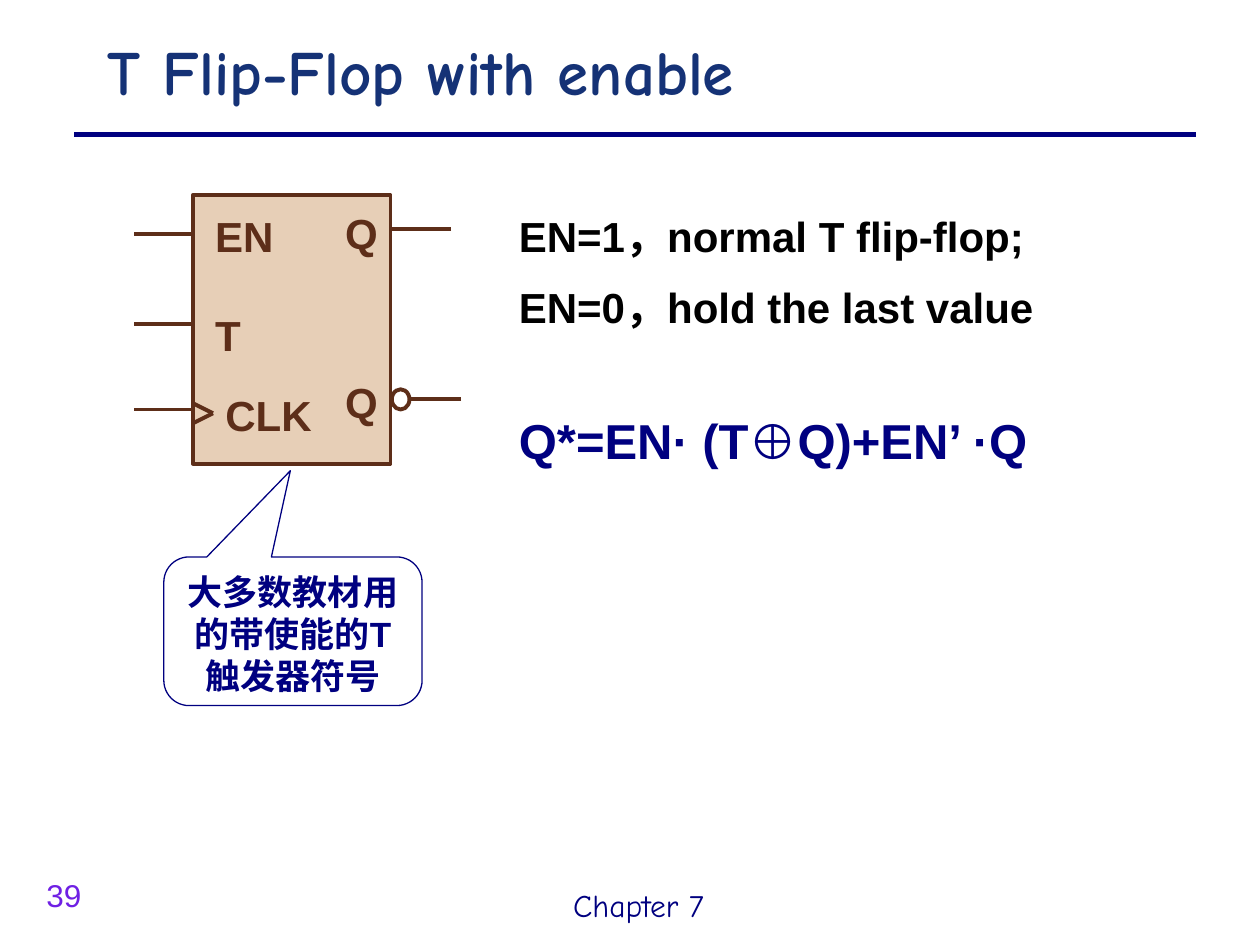
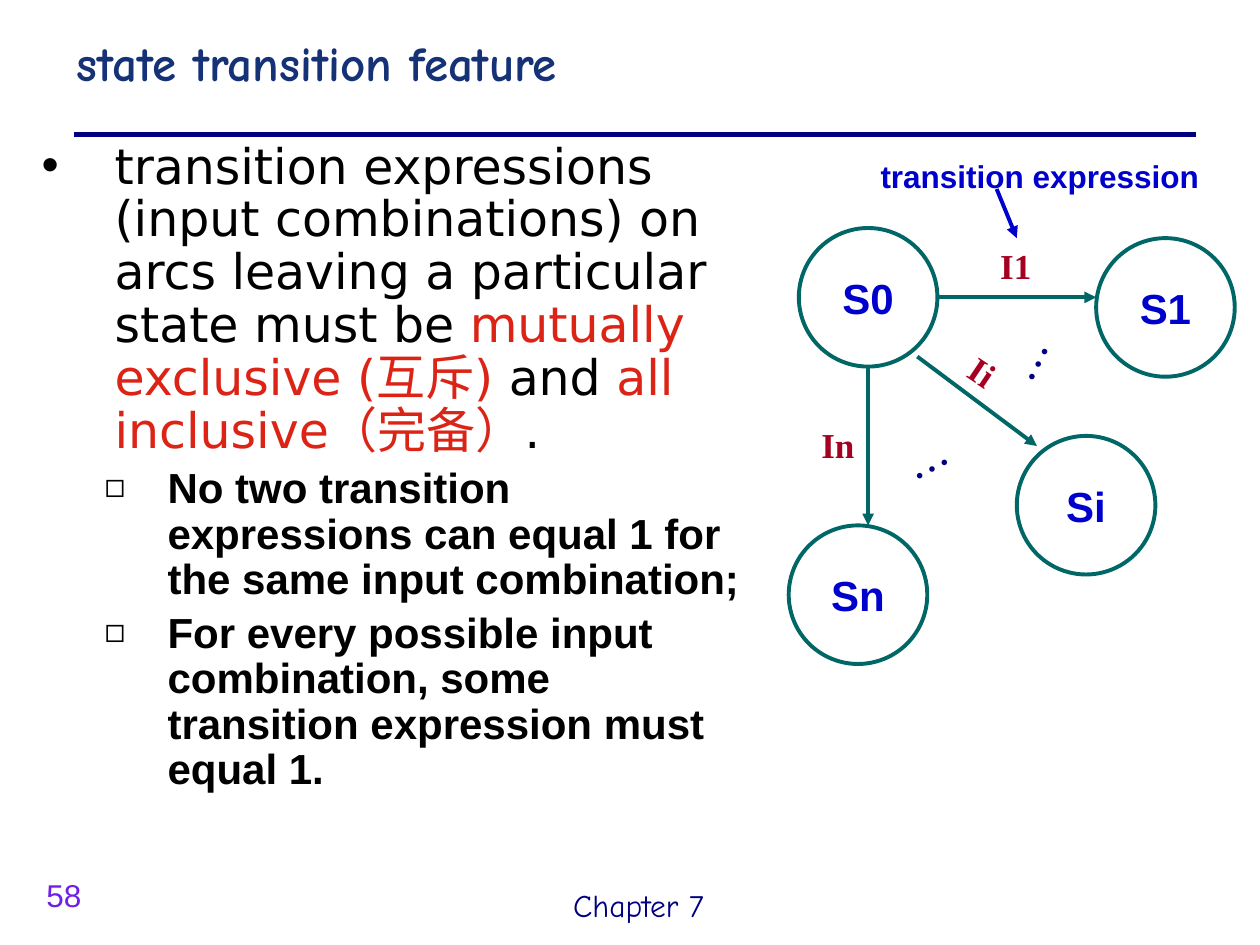
from dataclasses import dataclass

from lxml import etree
from pptx import Presentation, util as u
from pptx.dml.color import RGBColor
from pptx.enum import shapes, text
from pptx.oxml import ns


@dataclass(frozen=True)
class Theme:
    """Colours, fonts, type sizes and spacing shared by the slides."""
    navy: str = "000080"
    title: str = "153276"
    number: str = "6F20E4"
    black: str = "000000"
    white: str = "FFFFFF"
    brown: str = "5D2E19"
    tan: str = "E7CFB7"
    blue: str = "0000CC"
    teal: str = "006666"
    wine: str = "A50021"
    red: str = "DC2416"
    sans: str = "Arial"
    hand: str = "Comic Neue"
    plain: str = "DejaVu Sans"
    serif: str = "Times New Roman"
    asian: str = "Noto Sans CJK SC"
    huge: int = 36
    large: int = 28
    mid: int = 24
    note: int = 20
    small: int = 18
    pitch: float = 1.2
    tight: float = 1.08
    line: float = 2.25


T = Theme()
COLS, ROWS = 10, 7.5
WIDE, HIGH = u.Inches(10), u.Inches(7.5)
CENTER = text.PP_ALIGN.CENTER
LEFT = text.PP_ALIGN.LEFT
MIDDLE = text.MSO_ANCHOR.MIDDLE
TOP = text.MSO_ANCHOR.TOP
KIND = shapes.MSO_SHAPE


def grid(x, y):
    """Turn columns and rows into slide lengths."""
    return round(x * WIDE / COLS), round(y * HIGH / ROWS)


def place(item, x, y, w, h):
    """Move an item to a grid cell."""
    item.left, item.top = grid(x, y)
    item.width, item.height = grid(w, h)


def say(para, words, size=T.mid, font=T.sans, color=T.black, bold=True,
        align=LEFT, pitch=T.pitch, gap=0):
    """Add a formatted run to a paragraph."""
    para.alignment = align
    para.line_spacing = u.Pt(round(size * pitch, 1))
    para.space_before = u.Pt(gap)
    run = para.add_run()
    run.text = words
    run.font.size, run.font.bold, run.font.name = u.Pt(size), bold, font
    run.font.color.rgb = RGBColor.from_string(color)
    etree.SubElement(run.font._element, ns.qn("a:ea"), typeface=T.asian)


def frame(item, anchor=TOP, wrap=True):
    """Set up the text frame of an item and return its first paragraph."""
    box = item.text_frame
    box.auto_size = text.MSO_AUTO_SIZE.NONE
    box.word_wrap, box.vertical_anchor = wrap, anchor
    return box.paragraphs[0]


def label(slide, words, at, turn=0, **look):
    """Add a text box."""
    box = slide.shapes.add_textbox(*grid(*at[:2]), *grid(*at[2:]))
    box.rotation = turn
    say(frame(box), words, **look)
    return box


def shape(slide, kind, at, fill=None, line=None, width=T.line):
    """Add a preset shape."""
    item = slide.shapes.add_shape(kind, *grid(*at[:2]), *grid(*at[2:]))
    item.shadow.inherit = False
    if fill:
        item.fill.solid()
        item.fill.fore_color.rgb = RGBColor.from_string(fill)
    else:
        item.fill.background()
    if line:
        item.line.color.rgb = RGBColor.from_string(line)
        item.line.width = u.Pt(width)
    else:
        item.line.fill.background()
    return item


def wire(slide, start, end, color, width=T.line, tip=False):
    """Add a straight line, with an arrowhead if asked."""
    item = slide.shapes.add_connector(
        shapes.MSO_CONNECTOR.STRAIGHT, *grid(*start), *grid(*end))
    item.line.color.rgb = RGBColor.from_string(color)
    item.line.width = u.Pt(width)
    props = item.element.spPr
    if tip:
        etree.SubElement(props.find(ns.qn("a:ln")), ns.qn("a:tailEnd"),
                         type="triangle")
    etree.SubElement(props, ns.qn("a:effectLst"))


def bullet(para, mark, left, hang, share=100):
    """Give a paragraph a hanging bullet."""
    props = para._p.get_or_add_pPr()
    props.set("marL", str(grid(left, 0)[0]))
    props.set("indent", str(-grid(hang, 0)[0]))
    tint = etree.SubElement(props, ns.qn("a:buClr"))
    etree.SubElement(tint, ns.qn("a:srgbClr"), val=T.black)
    etree.SubElement(props, ns.qn("a:buSzPct"), val=str(share * 1000))
    etree.SubElement(props, ns.qn("a:buChar"), char=mark)


def base(deck, layout, number, title, at, size):
    """Add a slide with its title, rule and footer."""
    slide = deck.slides.add_slide(deck.slide_layouts[layout])
    wire(slide, (0.59, 1.07), (9.49, 1.07), T.navy, 3)
    label(slide, "Chapter 7", (4.45, 6.98, 1.42, 0.4), size=T.small,
          font=T.hand, color=T.navy, bold=False)
    label(slide, number, (0.27, 6.9, 0.71, 0.4), size=T.small,
          color=T.number, bold=False)
    place(slide.shapes.title, *at)
    say(frame(slide.shapes.title), title, size=size, font=T.hand,
        color=T.title)
    return slide


def symbol(slide):
    """Draw the flip-flop with its pins."""
    left, right = 1.53, 3.1
    shape(slide, KIND.RECTANGLE, (left, 1.55, right - left, 2.13),
          T.tan, T.brown)
    shape(slide, KIND.OVAL, (3.11, 3.09, 0.14, 0.16), T.white, T.brown)
    pins = (("EN", 1.61, 1.62, 0.71), ("Q", 2.64, 1.6, 0.38),
            ("Q", 2.64, 2.94, 0.38), ("T", 1.61, 2.41, 0.47),
            ("CLK", 1.69, 3.04, 1.02))
    for name, x, y, w in pins:
        patch = shape(slide, KIND.RECTANGLE, (x, y, w, 0.5), T.tan)
        say(frame(patch), name, color=T.brown)
    for y in (1.86, 2.57, 3.25):
        wire(slide, (left, y), (1.06, y), T.brown)
    for y in (3.2, 3.36):
        wire(slide, (1.69, 3.28), (left, y), T.brown)
    wire(slide, (3.58, 1.82), (right, 1.82), T.brown)
    wire(slide, (3.66, 3.17), (3.25, 3.17), T.brown)


def flip(deck):
    """Build the flip-flop slide."""
    slide = base(deck, 5, "39", "T Flip-Flop with enable",
                 (0.75, 0.21, 8.74, 0.63), T.huge)
    rules = label(slide, "EN=1，normal T flip-flop;", (4.02, 1.62, 4.61, 1.1))
    say(rules.text_frame.add_paragraph(), "EN=0，hold the last value",
        gap=T.mid / 2)
    symbol(slide)
    label(slide, "Q*=EN· (T⊕Q)+EN’ ·Q", (4.02, 3.21, 4.82, 0.57),
          size=T.large, color=T.navy)
    note = shape(slide, KIND.ROUNDED_RECTANGULAR_CALLOUT,
                 (1.3, 4.42, 2.05, 1.18), line=T.navy, width=0.75)
    for i, value in enumerate((-0.01, -1.08, 0.17)):
        note.adjustments[i] = value
    say(frame(note), "大多数教材用的带使能的T触发器符号", size=T.note,
        color=T.navy, align=CENTER)


def points(slide):
    """Fill the body list."""
    body = slide.placeholders[1]
    place(body, 0.23, 1.07, 5.81, 5.63)
    para = frame(body)
    bullet(para, "•", 0.58, 0.58)
    runs = (("transition expressions (input combinations) on arcs leaving "
             "a particular state must be ", T.black),
            ("mutually exclusive (互斥) ", T.red), ("and ", T.black),
            ("all inclusive（完备）", T.red), (".", T.black))
    for words, color in runs:
        say(para, words, size=T.large, font=T.plain, color=color,
            bold=False, pitch=T.tight)
    for words in ("No two transition expressions can equal 1 for the same "
                  "input combination;",
                  "For every possible input combination, some transition "
                  "expression must equal 1."):
        para = body.text_frame.add_paragraph()
        para.level = 1
        bullet(para, "◻", 1, 0.5, 80)
        say(para, words, pitch=T.tight, gap=5)


def graph(slide):
    """Draw the states, arcs and their labels."""
    side = 1.1
    states = {"S0": (6.34, 1.81), "S1": (8.7, 1.89),
              "Si": (8.07, 3.46), "Sn": (6.26, 4.17)}
    for name, (x, y) in states.items():
        ring = shape(slide, KIND.OVAL, (x, y, side, side), line=T.teal)
        say(frame(ring, MIDDLE, False), name, color=T.blue, align=CENTER)
    x, y = states["S0"]
    mid = side / 2
    arcs = (((x + side, y + mid), (states["S1"][0], y + mid)),
            ((7.28, 2.83), (8.23, 3.54)),
            ((x + mid, y + side), (x + mid, states["Sn"][1])))
    for start, end in arcs:
        wire(slide, start, end, T.teal, tip=True)
    for name, x, y, w, turn in (("I1", 7.84, 1.89, 0.47, 0),
                                ("Ii", 7.6, 2.76, 0.48, 33.8),
                                ("In", 6.42, 3.31, 0.55, 0)):
        label(slide, name, (x, y, w, 0.43), turn, size=T.note,
              font=T.serif, color=T.wine)
    tag = shape(slide, KIND.RECTANGLE, (6.89, 1.2, 2.73, 0.4), T.white)
    say(frame(tag, wrap=False), "transition expression", size=T.small,
        color=T.blue)
    wire(slide, (7.91, 1.5), (8.07, 1.89), T.blue, tip=True)
    for x, y, turn in ((7.97, 2.63, 296.7), (7.13, 3.47, 331.7)):
        label(slide, "…", (x, y, 0.55, 0.5), turn, font=T.asian,
              color=T.navy, bold=False)


def feature(deck):
    """Build the state transition slide."""
    slide = base(deck, 1, "58", "state transition feature",
                 (0.51, 0.21, 9, 0.69), T.large)
    points(slide)
    graph(slide)


def main():
    """Build and save the deck."""
    deck = Presentation()
    deck.slide_width, deck.slide_height = WIDE, HIGH
    flip(deck)
    feature(deck)
    deck.save("out.pptx")


if __name__ == "__main__":
    main()
